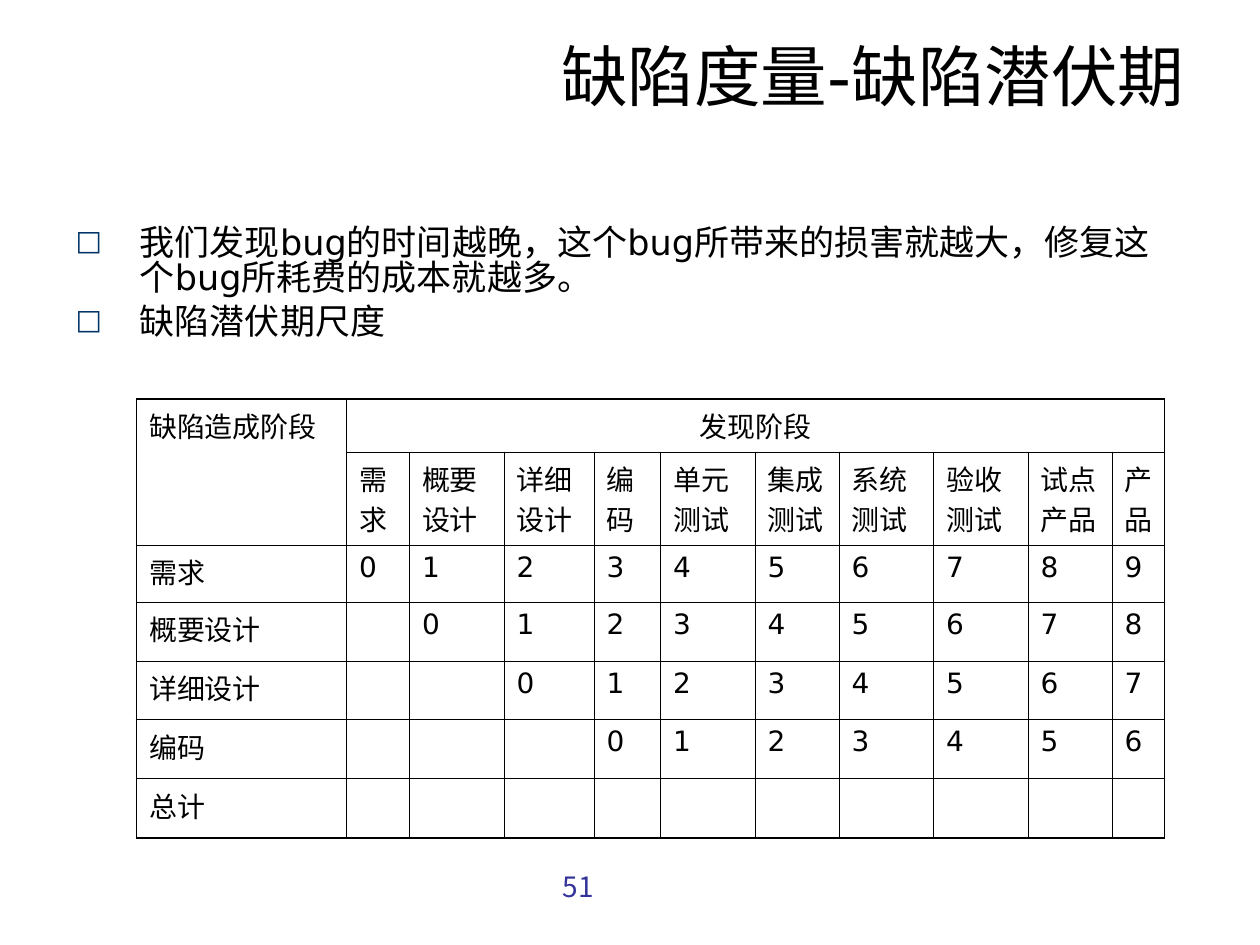
from lxml.etree import SubElement
from pptx import Presentation
from pptx.dml.color import RGBColor
from pptx.enum.text import MSO_ANCHOR, MSO_AUTO_SIZE, PP_ALIGN
from pptx.oxml.ns import qn
from pptx.util import Pt

# Content
TITLE = "缺陷度量-缺陷潜伏期"
POINTS = [
    "我们发现bug的时间越晚，这个bug所带来的损害就越大，修复这个bug所耗费的成本就越多。",
    "缺陷潜伏期尺度",
]
CAUSE_HEADING, FOUND_HEADING = "缺陷造成阶段", "发现阶段"
FOUND_PHASES = ["需求", "概要设计", "详细设计", "编码", "单元测试", "集成测试",
                "系统测试", "验收测试", "试点产品", "产品"]
CAUSE_PHASES = FOUND_PHASES[:4]
TOTAL = "总计"
PAGE_NUMBER = "51"

# Look, lengths in points
LATIN, CJK = "DejaVu Sans", "Noto Sans CJK SC"
BLACK, BULLET_BLUE, PAGE_BLUE = "000000", "003366", "333399"
COLUMN_WIDTHS = [120, 36, 54, 51.5, 38, 54, 48, 54, 54, 48, 30]
ROW_HEIGHTS = [26.6, 46, 32.4] + [33.7] * 4
THIN, THICK = 0.45, 1.08
INDENT = 36.7


def rgb(hex_color):
    return RGBColor.from_string(hex_color)


def style(paragraph, size, color=BLACK, latin=LATIN):
    for run in paragraph.runs:
        run.font.size = Pt(size)
        run.font.name = latin
        run.font.color.rgb = rgb(color)
        SubElement(run._r.rPr, qn("a:ea"), typeface=CJK)


def place(shape, left, top, width, height):
    shape.left, shape.top = Pt(left), Pt(top)
    shape.width, shape.height = Pt(width), Pt(height)
    frame = shape.text_frame
    frame.word_wrap = True
    frame.auto_size = MSO_AUTO_SIZE.NONE
    frame.vertical_anchor = MSO_ANCHOR.TOP
    return frame


def add_bullet(paragraph):
    props = paragraph._p.get_or_add_pPr()
    props.set("marL", str(Pt(INDENT)))
    props.set("indent", str(-Pt(INDENT)))
    color = SubElement(props, qn("a:buClr"))
    SubElement(color, qn("a:srgbClr"), val=BULLET_BLUE)
    SubElement(props, qn("a:buSzPct"), val="80000")
    SubElement(props, qn("a:buFont"), typeface=LATIN)
    SubElement(props, qn("a:buChar"), char="□")


def set_borders(cell, widths):
    props = cell._tc.get_or_add_tcPr()
    for side, width in widths.items():
        line = SubElement(props, qn(f"a:ln{side}"), w=str(Pt(width)))
        fill = SubElement(line, qn("a:solidFill"))
        SubElement(fill, qn("a:srgbClr"), val=BLACK)


prs = Presentation()
prs.slide_width, prs.slide_height = Pt(720), Pt(540)
slide = prs.slides.add_slide(prs.slide_layouts[1])

# Title
title = place(slide.shapes.title, 36, 21.6, 648, 90)
title.text = TITLE
heading = title.paragraphs[0]
heading.alignment = PP_ALIGN.RIGHT
heading.line_spacing = 0.9
style(heading, 38)

# Bullet list
body = place(slide.placeholders[1], 36, 126, 648, 356.4)
body.text = "\n".join(POINTS)
for index, point in enumerate(body.paragraphs):
    add_bullet(point)
    point.line_spacing = 0.84
    point.space_before = Pt(5 if index else 0)
    style(point, 20)

# Latency table: each value is the distance from cause phase to found phase
blank = [""] * len(FOUND_PHASES)
rows = [[CAUSE_HEADING, FOUND_HEADING] + blank[1:], [""] + FOUND_PHASES]
for cause, phase in enumerate(CAUSE_PHASES):
    rows.append([phase] + [str(found - cause) if found >= cause else ""
                           for found in range(len(FOUND_PHASES))])
rows.append([TOTAL] + blank)

last_row, last_column = len(rows) - 1, len(COLUMN_WIDTHS) - 1
table = slide.shapes.add_table(
    len(rows), len(COLUMN_WIDTHS), Pt(78), Pt(228),
    Pt(sum(COLUMN_WIDTHS)), Pt(sum(ROW_HEIGHTS))).table
table.first_row = table.horz_banding = False
for column, width in zip(table.columns, COLUMN_WIDTHS):
    column.width = Pt(width)
for row, height in zip(table.rows, ROW_HEIGHTS):
    row.height = Pt(height)

for r, values in enumerate(rows):
    for c, value in enumerate(values):
        cell = table.cell(r, c)
        cell.text = value
        paragraph = cell.text_frame.paragraphs[0]
        if value:
            style(paragraph, 16)
        else:
            paragraph.font.size = Pt(16)
        set_borders(cell, {
            "L": THIN if c else THICK,
            "R": THICK if c == last_column else THIN,
            "T": THIN if r else THICK,
            "B": THICK if r == last_row else THIN,
        })
        cell.fill.background()

table.cell(0, 0).merge(table.cell(1, 0))
table.cell(0, 1).merge(table.cell(0, last_column))
table.cell(0, 1).text_frame.paragraphs[0].alignment = PP_ALIGN.CENTER

# Page number
page = place(slide.shapes.add_textbox(0, 0, 0, 0), 314.6, 493.2, 79.2, 37.4)
page.text = PAGE_NUMBER
style(page.paragraphs[0], 16, PAGE_BLUE, CJK)

prs.save("out.pptx")
